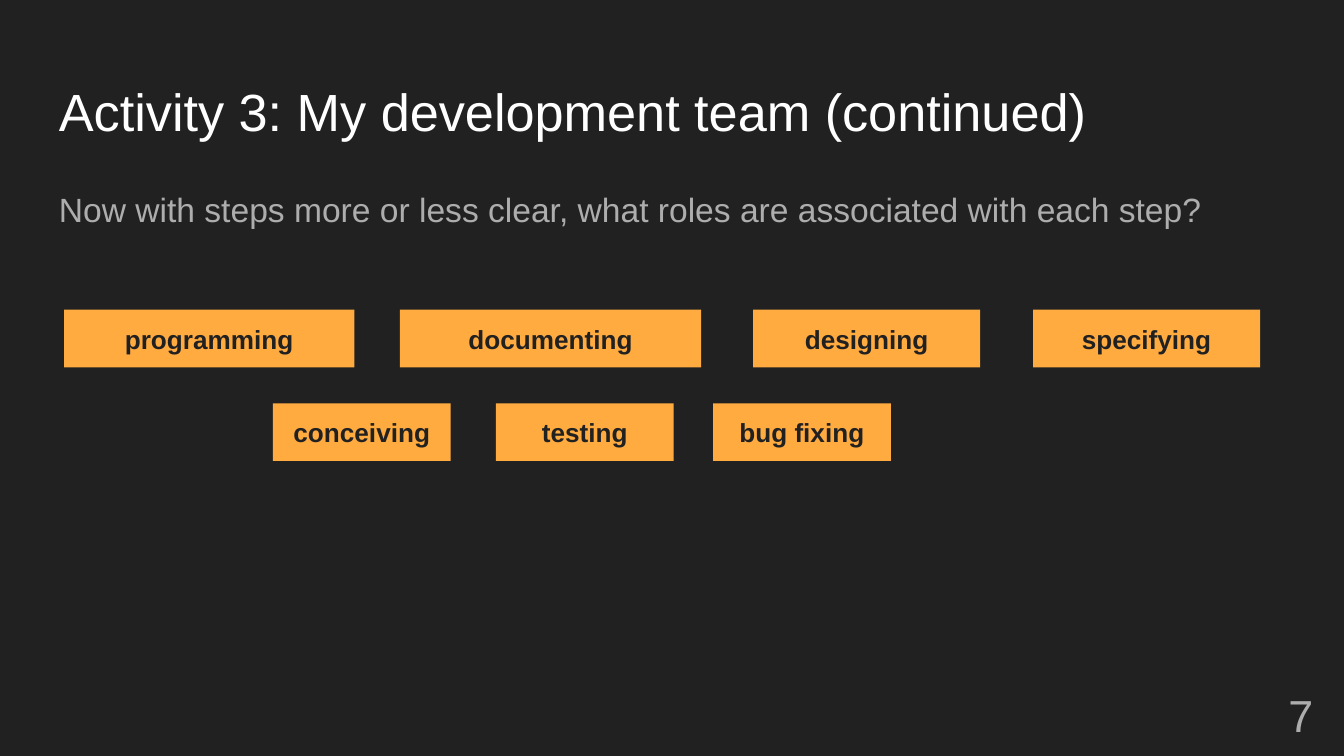
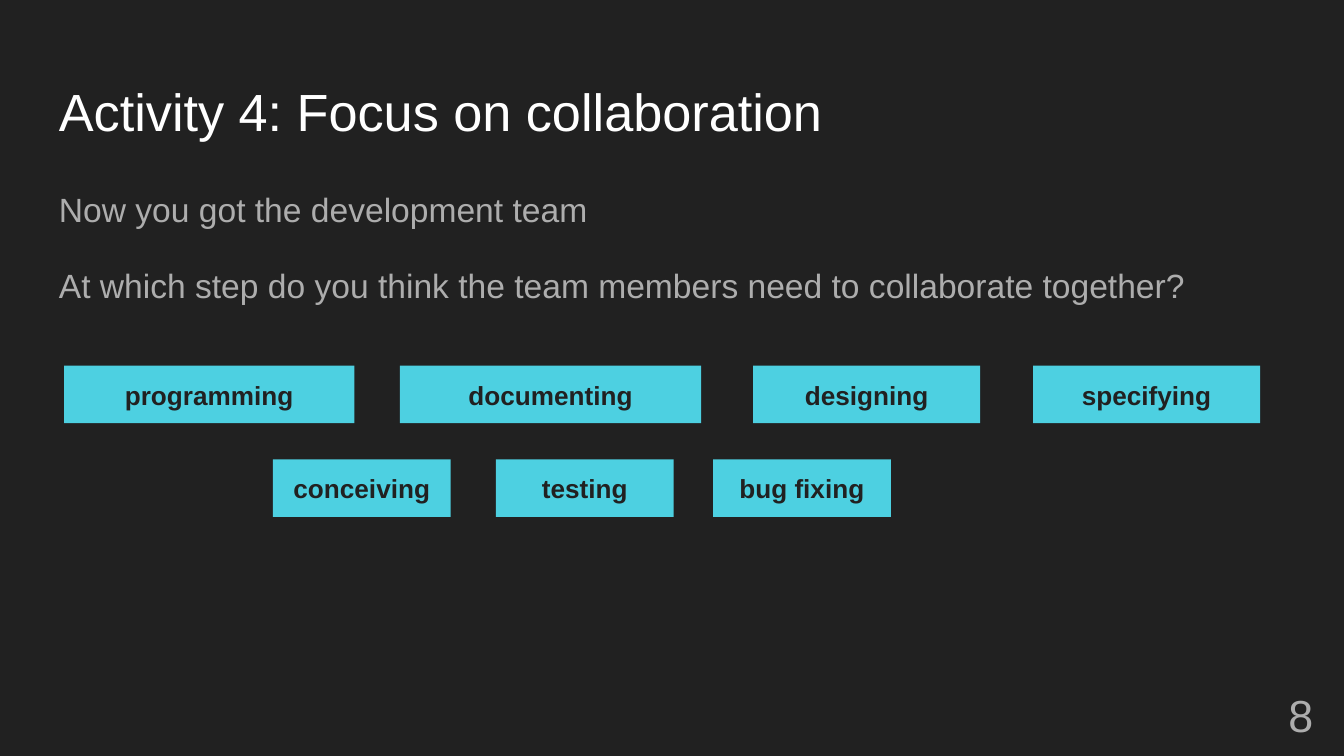
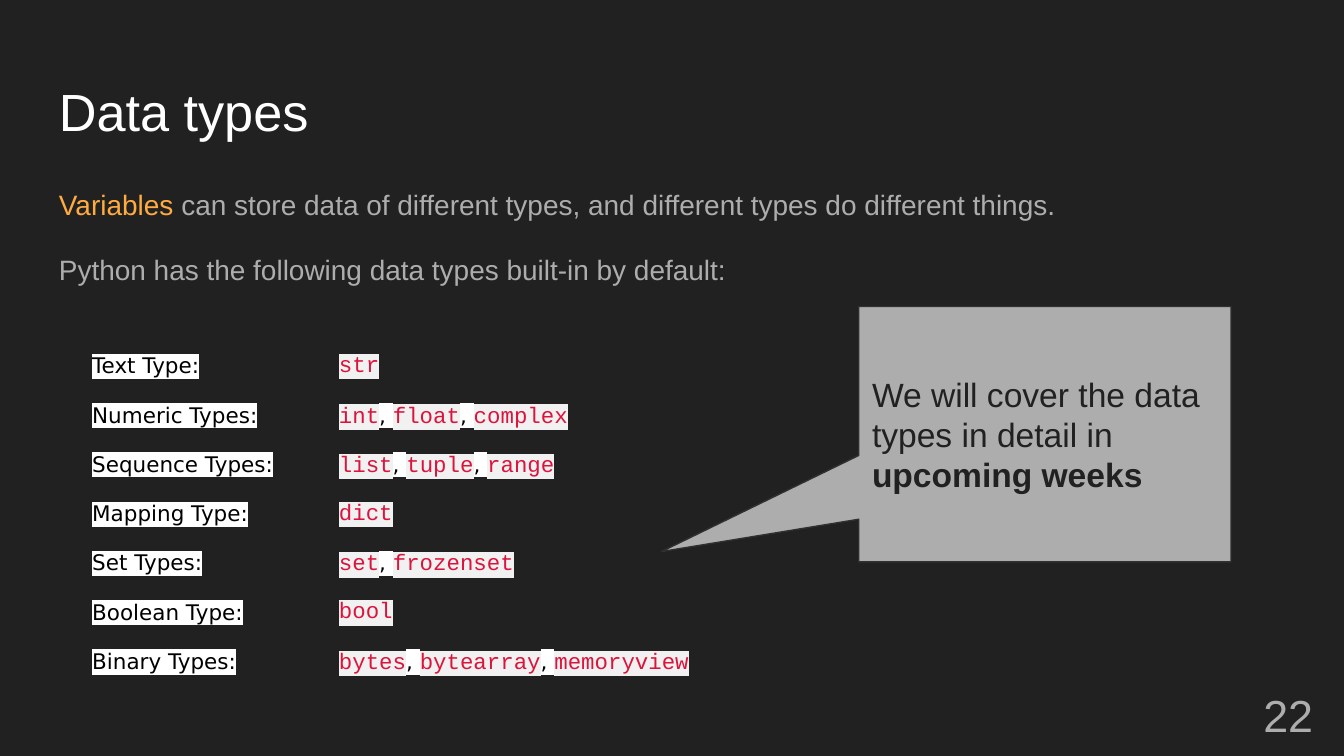
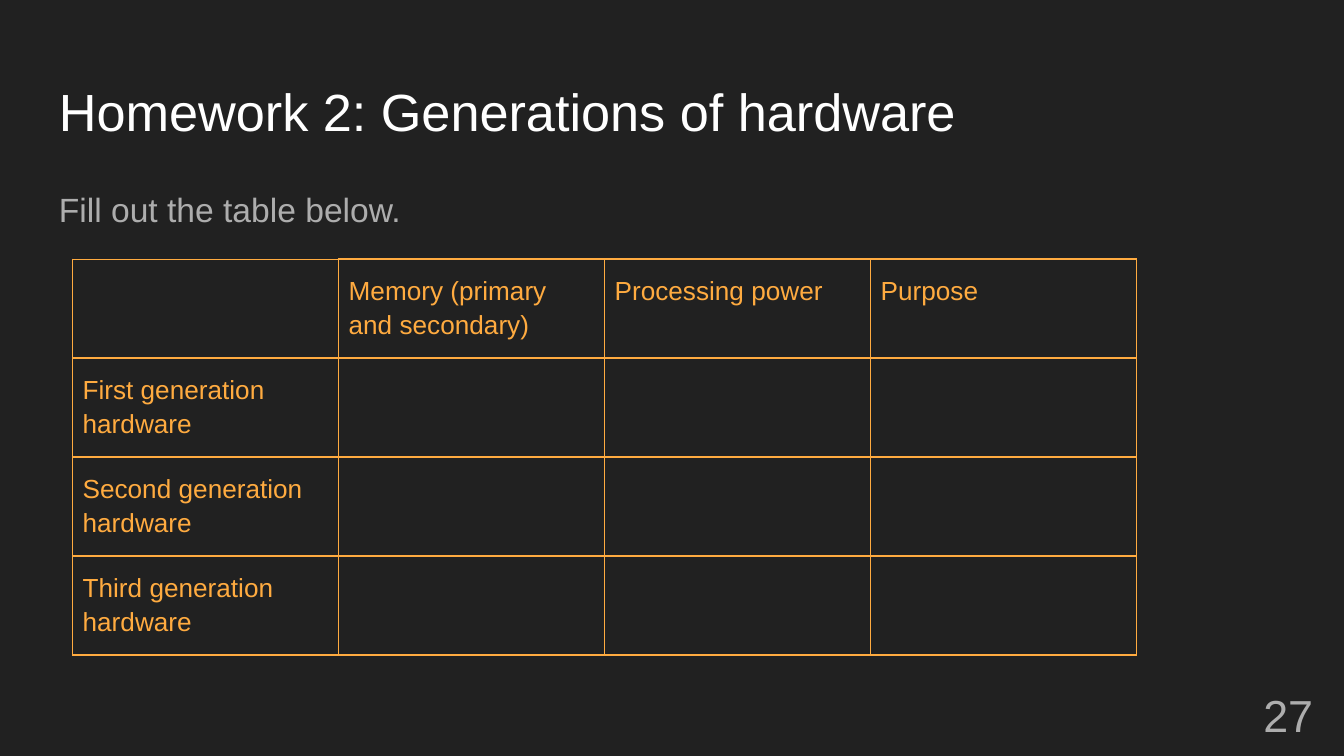
"""Build four dark slides of a programming course: two activities, data types and homework."""
from lxml.etree import SubElement
from pptx import Presentation
from pptx.dml.color import RGBColor
from pptx.enum.shapes import MSO_SHAPE
from pptx.enum.text import MSO_ANCHOR, PP_ALIGN
from pptx.oxml.ns import qn
from pptx.util import Pt

DARK = RGBColor(0x21, 0x21, 0x21)
WHITE = RGBColor(0xFF, 0xFF, 0xFF)
BLACK = RGBColor(0, 0, 0)
GRAY = RGBColor(0xAD, 0xAD, 0xAD)
OUTLINE = RGBColor(0x30, 0x30, 0x30)
ORANGE = RGBColor(0xFF, 0xAB, 0x40)
CYAN = RGBColor(0x4D, 0xD0, 0xE1)
CRIMSON = RGBColor(0xDC, 0x14, 0x3C)
PALE = RGBColor(0xF1, 0xF1, 0xF1)
SANS = "Arial"
PLAIN_TABLE = "{2D5ABB26-0587-4C30-8999-92F81FD0307C}"

TITLE_BOX = (24.5, 35.3, 671, 45.4)
BODY_BOX = (24.5, 90.7, 671, 269.3)
NUMBER_BOX = (667.4, 367.2, 43.2, 31)
CALLOUT_BOX = (460.1, 164.2, 199.4, 136.8)

STEP_ROWS = [
    [("programming", 34.3, 155.6), ("documenting", 214.3, 161.4),
     ("designing", 403.5, 121.6), ("specifying", 553.5, 121.6)],
    [("conceiving", 146.2, 95.3), ("testing", 265.7, 95.3), ("bug fixing", 382, 95.3)],
]
STEP_HEIGHT, STEP_PITCH = 30.9, 50.2

ROLES = "Now with steps more or less clear, what roles are associated with each step?"
COLLABORATION = [
    "Now you got the development team",
    "At which step do you think the team members need to collaborate together?",
]
VARIABLES = [
    [("Variables", ORANGE),
     (" can store data of different types, and different types do different things.", GRAY)],
    "Python has the following data types built-in by default:",
]
DATA_TYPES = [
    ("Text Type:", ["str"]),
    ("Numeric Types:", ["int", "float", "complex"]),
    ("Sequence Types:", ["list", "tuple", "range"]),
    ("Mapping Type:", ["dict"]),
    ("Set Types:", ["set", "frozenset"]),
    ("Boolean Type:", ["bool"]),
    ("Binary Types:", ["bytes", "bytearray", "memoryview"]),
]
CALLOUT = [("We will cover the data types in detail in ", False), ("upcoming weeks", True)]
HARDWARE = [
    ["", "Memory (primary and secondary)", "Processing power", "Purpose"],
    ["First generation hardware", "", "", ""],
    ["Second generation hardware", "", "", ""],
    ["Third generation hardware", "", "", ""],
]


def set_font(font, size, color, name=SANS, bold=None):
    font.size, font.name, font.bold = Pt(size), name, bold
    font.color.rgb = color


def set_frame(tf, anchor=MSO_ANCHOR.TOP):
    tf.word_wrap = True
    tf.vertical_anchor = anchor
    tf.margin_left = tf.margin_top = tf.margin_right = tf.margin_bottom = Pt(7.2)


def add_text(slide, box, paragraphs, size, color, align=PP_ALIGN.LEFT,
             anchor=MSO_ANCHOR.TOP, spacing=None, gap=0):
    tf = slide.shapes.add_textbox(*map(Pt, box)).text_frame
    set_frame(tf, anchor)
    for i, content in enumerate(paragraphs):
        p = tf.add_paragraph() if i else tf.paragraphs[0]
        p.alignment, p.line_spacing = align, spacing
        if i:
            p.space_before = Pt(gap)
        set_font(p.font, size, color)
        for text, run_color in [(content, color)] if isinstance(content, str) else content:
            r = p.add_run()
            r.text = text
            set_font(r.font, size, run_color)


def add_slide(prs, title, number, body, size=18, gap=16):
    slide = prs.slides.add_slide(prs.slide_layouts[6])
    slide.background.fill.solid()
    slide.background.fill.fore_color.rgb = DARK
    add_text(slide, TITLE_BOX, [title], 28, WHITE)
    add_text(slide, BODY_BOX, body, size, GRAY, spacing=1.15, gap=gap)
    add_text(slide, NUMBER_BOX, [str(number)], 24, GRAY, PP_ALIGN.RIGHT, MSO_ANCHOR.MIDDLE)
    return slide


def add_box(slide, preset, box, fill, anchor=MSO_ANCHOR.TOP):
    sp = slide.shapes.add_shape(preset, *map(Pt, box))
    sp.shadow.inherit = False
    sp.fill.solid()
    sp.fill.fore_color.rgb = fill
    sp.line.fill.background()
    set_frame(sp.text_frame, anchor)
    return sp


def add_steps(slide, top, fill):
    for i, row in enumerate(STEP_ROWS):
        for step, left, width in row:
            box = (left, top + i * STEP_PITCH, width, STEP_HEIGHT)
            p = add_box(slide, MSO_SHAPE.RECTANGLE, box, fill).text_frame.paragraphs[0]
            p.text = step
            p.alignment = PP_ALIGN.CENTER
            set_font(p.font, 14, DARK, bold=True)


def add_callout(slide):
    sp = add_box(slide, MSO_SHAPE.ROUNDED_RECTANGULAR_CALLOUT, CALLOUT_BOX, GRAY,
                 MSO_ANCHOR.MIDDLE)
    for i, value in enumerate((-1.03, 0.46, 0)):
        sp.adjustments[i] = value
    sp.line.color.rgb = OUTLINE
    sp.line.width = Pt(0.75)
    p = sp.text_frame.paragraphs[0]
    p.alignment = PP_ALIGN.LEFT
    for text, bold in CALLOUT:
        r = p.add_run()
        r.text = text
        set_font(r.font, 18, DARK, bold=bold)


def add_table(slide, left, top, widths, row_height, rows):
    frame = slide.shapes.add_table(rows, len(widths), Pt(left), Pt(top),
                                   Pt(sum(widths)), Pt(row_height * rows))
    table = frame.table
    table.first_row = table.horz_banding = False
    table._tbl.tblPr.find(qn("a:tableStyleId")).text = PLAIN_TABLE
    for column, width in zip(table.columns, widths):
        column.width = Pt(width)
    for row in table.rows:
        row.height = Pt(row_height)
    for cell in table.iter_cells():
        cell.fill.background()
    return table


def set_margins(cell, left, right, vertical):
    cell.margin_left, cell.margin_right = Pt(left), Pt(right)
    cell.margin_top = cell.margin_bottom = Pt(vertical)


def add_marked_run(p, text, size, color, name, highlight):
    r = p.add_run()
    r.text = text
    set_font(r.font, size, color, name)
    rPr = r._r.get_or_add_rPr()
    mark = SubElement(rPr, qn("a:highlight"))
    SubElement(mark, qn("a:srgbClr"), val=str(highlight))
    rPr.find(qn("a:solidFill")).addnext(mark)


def add_data_types(slide):
    label_style = (11.5, BLACK, "DejaVu Sans", WHITE)
    code_style = (12, CRIMSON, "Courier New", PALE)
    table = add_table(slide, 37.4, 183.6, [138.2, 474.5], 25.9, len(DATA_TYPES))
    for i, (label, names) in enumerate(DATA_TYPES):
        label_cell, names_cell = table.cell(i, 0), table.cell(i, 1)
        set_margins(label_cell, 12, 6, 6)
        set_margins(names_cell, 6, 6, 6)
        add_marked_run(label_cell.text_frame.paragraphs[0], label, *label_style)
        p = names_cell.text_frame.paragraphs[0]
        for j, name in enumerate(names):
            if j:
                add_marked_run(p, ", ", *label_style)
            add_marked_run(p, name, *code_style)


def set_borders(cell, widths, color):
    tcPr = cell._tc.get_or_add_tcPr()
    for i, (side, width) in enumerate(zip("LRTB", widths)):
        ln = SubElement(tcPr, qn(f"a:ln{side}"), w=str(Pt(width)))
        SubElement(SubElement(ln, qn("a:solidFill")), qn("a:srgbClr"), val=str(color))
        tcPr.insert(i, ln)


def add_hardware(slide):
    size = len(HARDWARE)
    table = add_table(slide, 38.9, 138.8, [142.5] * size, 50.5, size)

    def is_label(row, col):
        return 0 <= row < size and 0 <= col < size and HARDWARE[row][col] != ""

    for i, row in enumerate(HARDWARE):
        for j, text in enumerate(row):
            cell = table.cell(i, j)
            set_margins(cell, 5.4, 5.4, 7.2)
            neighbours = [(i, j - 1), (i, j + 1), (i - 1, j), (i + 1, j)]
            set_borders(cell, [1 if is_label(i, j) or is_label(*n) else 0.75
                               for n in neighbours], ORANGE)
            p = cell.text_frame.paragraphs[0]
            p.text = text
            p.line_spacing = 1.15
            set_font(p.font, 14, ORANGE)


def main():
    prs = Presentation()
    prs.slide_width, prs.slide_height = Pt(720), Pt(405)

    slide = add_slide(prs, "Activity 3: My development team (continued)", 7, [ROLES])
    add_steps(slide, 165.9, ORANGE)

    slide = add_slide(prs, "Activity 4: Focus on collaboration", 8, COLLABORATION)
    add_steps(slide, 195.9, CYAN)

    slide = add_slide(prs, "Data types", 22, VARIABLES, size=15, gap=14)
    add_data_types(slide)
    add_callout(slide)

    slide = add_slide(prs, "Homework 2: Generations of hardware", 27,
                      ["Fill out the table below."])
    add_hardware(slide)

    prs.save("out.pptx")


if __name__ == "__main__":
    main()
